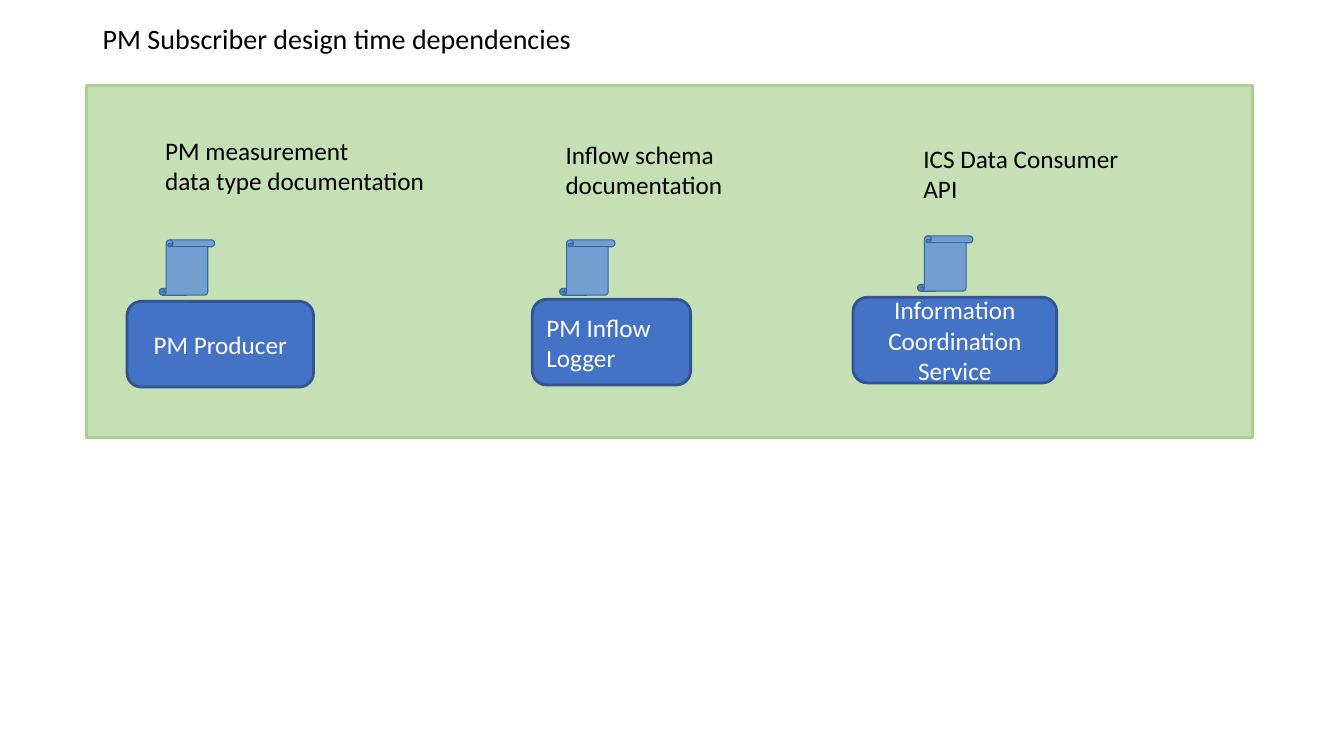
from dataclasses import dataclass

from pptx import Presentation
from pptx.dml.color import RGBColor
from pptx.enum.shapes import MSO_SHAPE
from pptx.enum.text import MSO_ANCHOR, PP_ALIGN
from pptx.util import Inches, Pt


@dataclass(frozen=True)
class Theme:
    """Colours, font and type sizes of the slide."""
    font: str = "Calibri"
    title_size: int = 20
    body_size: int = 18
    ink: str = "000000"
    light: str = "FFFFFF"
    panel: tuple = ("C5E0B4", "A9D18E", 2)
    component: tuple = ("4472C4", "325491", 2)
    scroll: tuple = ("729FCF", "3465A4", 0.75)


@dataclass(frozen=True)
class Dependency:
    """A component and the document it offers, placed in percent."""
    name: str
    document: str
    box_x: float
    box_w: float
    label_x: float
    label_w: float
    scroll_y: float
    align: PP_ALIGN = PP_ALIGN.CENTER


THEME = Theme()
WIDTH, HEIGHT = Inches(13.33), Inches(7.5)
TITLE = "PM Subscriber design time dependencies"
DEPENDENCIES = [
    Dependency("PM Producer", "PM measurement\ndata type documentation",
               9.45, 13.88, 11.55, 21.83, 31.73),
    Dependency("PM Inflow Logger", "Inflow schema\ndocumentation",
               39.61, 11.78, 41.34, 16.65, 31.73, PP_ALIGN.LEFT),
    Dependency("Information Coordination Service", "ICS Data Consumer API",
               63.47, 15.15, 67.97, 16.65, 31.2),
]


def place(x, y, w, h):
    """Turn percentages of the slide into a left, top, width, height tuple."""
    return tuple(int(size * share / 100) for size, share in
                 ((WIDTH, x), (HEIGHT, y), (WIDTH, w), (HEIGHT, h)))


def write(sp, text, size, color, anchor, align=PP_ALIGN.LEFT):
    """Fill a shape with wrapped, formatted text."""
    tf = sp.text_frame
    tf.text = text
    tf.word_wrap = True
    tf.vertical_anchor = anchor
    for p in tf.paragraphs:
        p.alignment = align
        for r in p.runs:
            r.font.name = THEME.font
            r.font.size = Pt(size)
            r.font.color.rgb = RGBColor.from_string(color)


def add_figure(s, kind, area, style):
    """Add a flat preset shape with a fill and line style."""
    fill, line, weight = style
    sp = s.shapes.add_shape(kind, *place(*area))
    sp.shadow.inherit = False
    sp.fill.solid()
    sp.fill.fore_color.rgb = RGBColor.from_string(fill)
    sp.line.color.rgb = RGBColor.from_string(line)
    sp.line.width = Pt(weight)
    return sp


def add_label(s, text, area, size, anchor=MSO_ANCHOR.TOP):
    """Add a dark text box."""
    write(s.shapes.add_textbox(*place(*area)), text, size, THEME.ink, anchor)


def add_dependency(s, index, item):
    """Add a component box, its scroll and the document label."""
    box = add_figure(s, MSO_SHAPE.ROUNDED_RECTANGLE,
                     (item.box_x, 39.87 - 0.27 * index, item.box_w, 11.33), THEME.component)
    write(box, item.name, THEME.body_size, THEME.light, MSO_ANCHOR.MIDDLE, item.align)
    add_figure(s, MSO_SHAPE.VERTICAL_SCROLL,
               (item.label_x + 0.3, item.scroll_y, 4.13, 7.33), THEME.scroll)
    add_label(s, item.document,
              (item.label_x, 17.2 + 0.53 * index, item.label_w, 9.33), THEME.body_size)


def main():
    """Build and save the slide."""
    prs = Presentation()
    prs.slide_width, prs.slide_height = WIDTH, HEIGHT
    s = prs.slides.add_slide(prs.slide_layouts[6])
    add_figure(s, MSO_SHAPE.RECTANGLE, (6.45, 11.33, 86.72, 46.53), THEME.panel)
    add_label(s, TITLE, (6.9, 0.53, 86.27, 9.07), THEME.title_size, MSO_ANCHOR.MIDDLE)
    for index, item in enumerate(DEPENDENCIES):
        add_dependency(s, index, item)
    prs.save("out.pptx")


main()
